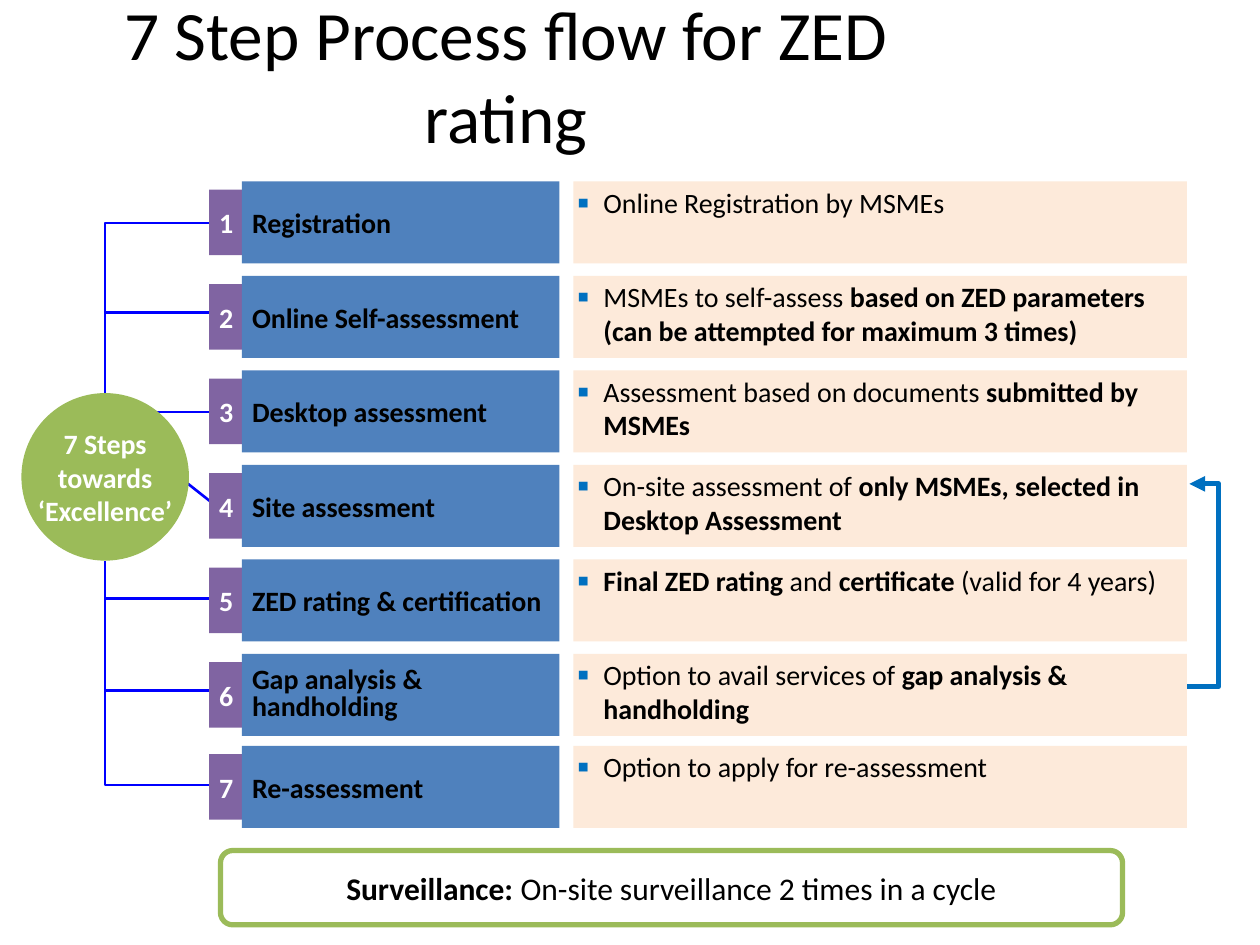
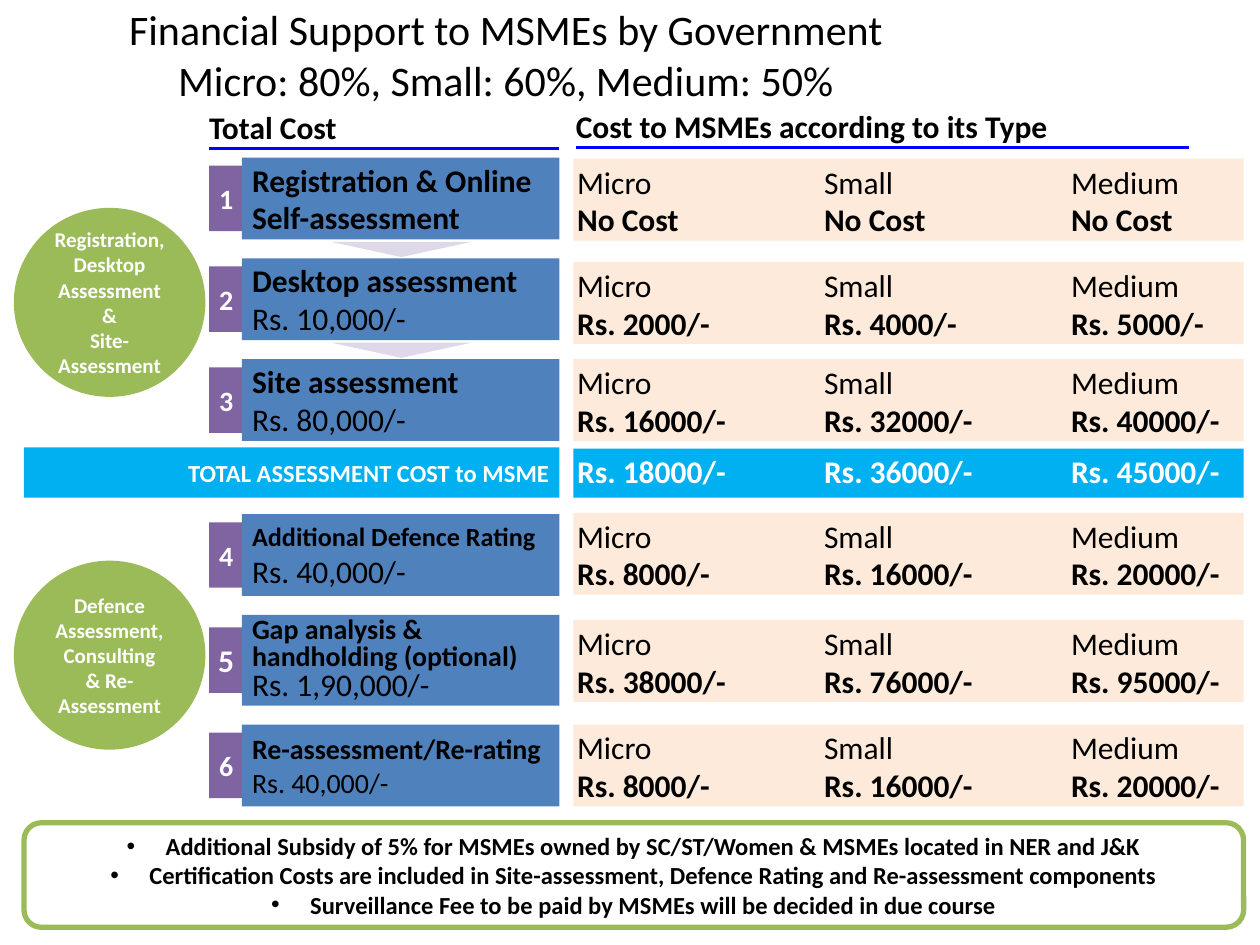
from dataclasses import dataclass
from typing import NamedTuple, Optional, Sequence, Union

from lxml import etree
from pptx import Presentation
from pptx.dml.color import RGBColor
from pptx.enum.shapes import MSO_CONNECTOR, MSO_SHAPE
from pptx.enum.text import MSO_ANCHOR, PP_ALIGN
from pptx.oxml.ns import qn
from pptx.util import Inches, Pt

RECTANGLE, ROUNDED = MSO_SHAPE.RECTANGLE, MSO_SHAPE.ROUNDED_RECTANGLE
ELLIPSE, TRIANGLE = MSO_SHAPE.OVAL, MSO_SHAPE.ISOSCELES_TRIANGLE
STRAIGHT, ELBOW = MSO_CONNECTOR.STRAIGHT, MSO_CONNECTOR.ELBOW
TOP, MIDDLE, BOTTOM = MSO_ANCHOR.TOP, MSO_ANCHOR.MIDDLE, MSO_ANCHOR.BOTTOM
LEFT, CENTER, RIGHT = PP_ALIGN.LEFT, PP_ALIGN.CENTER, PP_ALIGN.RIGHT

FONT = "Calibri"
BLACK, WHITE = "000000", "FFFFFF"
GREEN, PURPLE, BLUE, PEACH = "9BBB59", "8064A2", "4F81BD", "FDEADA"
LILAC, SKY, ARROW_BLUE, LINE_BLUE = "DFD8E8", "00B0F0", "0070C0", "0000FF"

BADGE_LEFT, BADGE_WIDTH, BADGE_HEIGHT = 1.66, 0.27, 0.52
LABEL_LEFT, LABEL_WIDTH = 1.92, 2.52
LABEL_RIGHT = LABEL_LEFT + LABEL_WIDTH
DETAIL_LEFT, DETAIL_WIDTH, COST_WIDTH = 4.55, 4.87, 5.32
ROW_HEIGHT = 0.65
PRICE_TABS = (1.96, 3.92)

DEFAULT_INSET = (0.1, 0.05, 0.1, 0.05)
NO_INSET = (0, 0, 0, 0)
LABEL_INSET = (0.08,) * 4
DETAIL_INSET = (0.03,) * 4
HEADING_INSET = (0, 0, 0, 0.02)


class Box(NamedTuple):
    left: float
    top: float
    width: float
    height: float


class Run(NamedTuple):
    text: str
    bold: bool = False


class Bullet(NamedTuple):
    mark: str
    indent: float
    color: str = BLACK
    percent: int = 100


@dataclass(frozen=True)
class Line:
    text: Union[str, Sequence[Run]]
    size: float = 16
    bold: bool = False
    color: str = BLACK
    align: PP_ALIGN = LEFT
    spacing: Optional[float] = None
    bullet: Optional[Bullet] = None
    tabs: Sequence[float] = ()


@dataclass(frozen=True)
class Step:
    title: str
    detail: Sequence[Run]
    line_y: Optional[float] = None
    spacing: Optional[float] = None


@dataclass(frozen=True)
class CostStep:
    title: str
    total: str
    prices: Sequence[str]
    label_top: float
    cost_top: float
    title_size: float = 18
    total_size: float = 18
    badge_size: float = 16
    height: float = ROW_HEIGHT
    spacing: Optional[float] = None


class Hub(NamedTuple):
    top: float
    words: Sequence[str]


SQUARE = Bullet("▪", 0.21, ARROW_BLUE, 125)
DOT = Bullet("•", 0.31)

STEPS = (
    Step("Registration", (Run("Online Registration by MSMEs"),), 1.77),
    Step("Online Self-assessment", (Run("MSMEs to self-assess "), Run(
        "based on ZED parameters (can be attempted for maximum 3 times)", True)), 2.48),
    Step("Desktop assessment", (
        Run("Assessment based on documents"), Run(" submitted by MSMEs", True)), 3.27),
    Step("Site assessment", (
        Run("On-site assessment of "), Run("only MSMEs, selected in Desktop Assessment", True))),
    Step("ZED rating & certification", (
        Run("Final ZED rating ", True), Run("and "), Run("certificate ", True),
        Run("(valid for 4 years)")), 4.75),
    Step("Gap analysis & handholding", (
        Run("Option to avail services of "), Run("gap analysis & handholding", True)), 5.48, 0.8),
    Step("Re-assessment", (Run("Option to apply for re-assessment"),), 6.23),
)
FIRST_TOP, LAST_TOP, STEP_PITCH = 1.44, 5.92, 0.75

COST_STEPS = (
    CostStep("Registration & Online Self-assessment", "", ("No Cost",) * 3, 1.25, 1.26),
    CostStep("Desktop assessment", "Rs. 10,000/-",
             ("Rs. 2000/-", "Rs. 4000/-", "Rs. 5000/-"), 2.05, 2.08),
    CostStep("Site assessment", "Rs. 80,000/-",
             ("Rs. 16000/-", "Rs. 32000/-", "Rs. 40000/-"), 2.85, 2.85),
    CostStep("Additional Defence Rating", "Rs. 40,000/-",
             ("Rs. 8000/-", "Rs. 16000/-", "Rs. 20000/-"), 4.08, 4.07, title_size=15),
    CostStep("Gap analysis & handholding (optional)", "Rs. 1,90,000/-",
             ("Rs. 38000/-", "Rs. 76000/-", "Rs. 95000/-"), 4.88, 4.92,
             title_size=16, badge_size=18, height=0.72, spacing=0.8),
    CostStep("Re-assessment/Re-rating", "Rs. 40,000/-",
             ("Rs. 8000/-", "Rs. 16000/-", "Rs. 20000/-"), 5.75, 5.75,
             title_size=16, total_size=16),
)
COST_HUBS = (
    Hub(1.65, ("Registration,", "Desktop", "Assessment", "&", "Site-", "Assessment")),
    Hub(4.45, ("Defence", "Assessment,", "Consulting", "& Re-", "Assessment")),
)
SIZES = ("Micro", "Small", "Medium")
NOTES = (
    "Additional Subsidy of 5% for MSMEs owned by SC/ST/Women & MSMEs located in NER and J&K",
    "Certification Costs are included in Site-assessment, Defence Rating and Re-assessment components",
    "Surveillance Fee to be paid by MSMEs will be decided in due course",
)


def rgb(color: str) -> RGBColor:
    return RGBColor.from_string(color)


def add_bullet(paragraph, bullet: Bullet) -> None:
    properties = paragraph._p.get_or_add_pPr()
    indent = Inches(bullet.indent)
    properties.set("marL", str(indent))
    properties.set("indent", str(-indent))
    color = etree.SubElement(properties, qn("a:buClr"))
    etree.SubElement(color, qn("a:srgbClr"), val=bullet.color)
    etree.SubElement(properties, qn("a:buSzPct"), val=str(bullet.percent * 1000))
    etree.SubElement(properties, qn("a:buFont"), typeface="Arial")
    etree.SubElement(properties, qn("a:buChar"), char=bullet.mark)


def add_tabs(paragraph, positions: Sequence[float]) -> None:
    stops = etree.SubElement(paragraph._p.get_or_add_pPr(), qn("a:tabLst"))
    for position in positions:
        etree.SubElement(stops, qn("a:tab"), pos=str(Inches(position)), algn="l")


def write(shape, lines: Sequence[Line], anchor=MIDDLE, inset=DEFAULT_INSET, wrap=True) -> None:
    frame = shape.text_frame
    frame.word_wrap = wrap
    frame.vertical_anchor = anchor
    (frame.margin_left, frame.margin_top,
     frame.margin_right, frame.margin_bottom) = map(Inches, inset)
    for index, line in enumerate(lines):
        paragraph = frame.add_paragraph() if index else frame.paragraphs[0]
        paragraph.alignment = line.align
        if line.spacing:
            paragraph.line_spacing = line.spacing
        if line.bullet:
            add_bullet(paragraph, line.bullet)
        if line.tabs:
            add_tabs(paragraph, line.tabs)
        font = paragraph.font
        font.name, font.size = FONT, Pt(line.size)
        font.color.rgb = rgb(line.color)
        if isinstance(line.text, str):
            paragraph.text = line.text
            font.bold = line.bold
        else:
            for part in line.text:
                run = paragraph.add_run()
                run.text, run.font.bold = part.text, part.bold


def add_block(slide, kind, box: Box, fill: str, border: Optional[str] = None):
    shape = slide.shapes.add_shape(kind, *map(Inches, box))
    shape.shadow.inherit = False
    shape.fill.solid()
    shape.fill.fore_color.rgb = rgb(fill)
    if border:
        shape.line.color.rgb = rgb(border)
        shape.line.width = Pt(3)
    else:
        shape.line.fill.background()
    return shape


def add_line(slide, start: tuple, end: tuple, color: str = LINE_BLUE, width: float = 1.5,
             bend_x: Optional[float] = None, arrow: bool = False) -> None:
    kind = STRAIGHT if bend_x is None else ELBOW
    connector = slide.shapes.add_connector(kind, *map(Inches, start + end))
    connector.line.color.rgb = rgb(color)
    connector.line.width = Pt(width)
    properties = connector._element.spPr
    if bend_x is not None:
        ratio = (bend_x - start[0]) / (end[0] - start[0])
        guides = properties.find(qn("a:prstGeom")).find(qn("a:avLst"))
        etree.SubElement(guides, qn("a:gd"), name="adj1", fmla=f"val {round(ratio * 100000)}")
    if arrow:
        etree.SubElement(properties.find(qn("a:ln")), qn("a:tailEnd"), type="triangle")
    etree.SubElement(properties, qn("a:effectLst"))


def add_text(slide, box: Box, lines: Sequence[Line], anchor=MIDDLE, inset=DEFAULT_INSET) -> None:
    write(slide.shapes.add_textbox(*map(Inches, box)), lines, anchor, inset)


def add_title(slide, top: float, height: float, text: str, size: float) -> None:
    add_text(slide, Box(0.19, top, 7.65, height), [Line(text, size, align=CENTER)])


def add_hub(slide, box: Box, words: Sequence[str], size: float) -> None:
    lines = [Line(word, size, True, WHITE, CENTER) for word in words]
    write(add_block(slide, ELLIPSE, box, GREEN), lines, wrap=False)


def add_step_label(slide, number: int, top: float, height: float,
                   lines: Sequence[Line], badge_size: float = 16) -> None:
    badge_top = top + (height - BADGE_HEIGHT) / 2
    badge = add_block(slide, RECTANGLE, Box(BADGE_LEFT, badge_top, BADGE_WIDTH, BADGE_HEIGHT), PURPLE)
    write(badge, [Line(str(number), badge_size, True, WHITE, CENTER)], inset=NO_INSET)
    label = add_block(slide, RECTANGLE, Box(LABEL_LEFT, top, LABEL_WIDTH, height), BLUE)
    write(label, lines, inset=LABEL_INSET)


def add_detail(slide, box: Box, lines: Sequence[Line], fill: str = PEACH) -> None:
    write(add_block(slide, RECTANGLE, box, fill), lines, TOP, DETAIL_INSET)


def add_footer(slide, box: Box, lines: Sequence[Line]) -> None:
    write(add_block(slide, ROUNDED, box, WHITE, GREEN), lines, inset=LABEL_INSET)


def price_line(cells: Sequence[str], bold: bool = False, color: str = BLACK) -> Line:
    return Line("\t".join(cells), 18, bold, color, tabs=PRICE_TABS)


def build_process(slide) -> None:
    add_title(slide, 0.43, 0.32, "7 Step Process flow for ZED rating", 39.6)
    hub = Box(0.17, 3.12, 1.33, 1.33)
    hub_x, hub_y = hub.left + hub.width / 2, hub.top + hub.height / 2
    for step in STEPS:
        if step.line_y:
            hub_edge = hub.top if step.line_y < hub_y else hub.top + hub.height
            add_line(slide, (BADGE_LEFT, step.line_y), (hub_x, hub_edge), bend_x=hub_x)
    add_line(slide, (1.48, 3.83), (1.67, 3.98))
    add_line(slide, (9.42, 5.45), (9.44, 3.84), ARROW_BLUE, 3, bend_x=9.67, arrow=True)
    for index, step in enumerate(STEPS):
        top = min(FIRST_TOP + index * STEP_PITCH, LAST_TOP)
        add_detail(slide, Box(DETAIL_LEFT, top, DETAIL_WIDTH, ROW_HEIGHT),
                   [Line(step.detail, bullet=SQUARE)])
        add_step_label(slide, index + 1, top, ROW_HEIGHT,
                       [Line(step.title, bold=True, spacing=step.spacing)])
    surveillance = (Run("Surveillance: ", True), Run("On-site surveillance 2 times in a cycle"))
    add_footer(slide, Box(1.75, 6.75, 7.16, 0.59), [Line(surveillance, 18, align=CENTER)])
    add_hub(slide, hub, ["7 Steps\ntowards\n‘Excellence’"], 16)


def build_costs(slide) -> None:
    add_title(slide, 0.11, 0.64,
              "Financial Support to MSMEs by Government\nMicro: 80%, Small: 60%, Medium: 50%", 24)
    for heading, left, right, base in (
            ("Total Cost", BADGE_LEFT, LABEL_RIGHT, 1.18),
            ("Cost to MSMEs according to its Type", 4.57, 9.44, 1.17)):
        add_text(slide, Box(left, base - 0.32, right - left, 0.32),
                 [Line(heading, 18, True)], BOTTOM, HEADING_INSET)
        add_line(slide, (left, base), (right, base))
    for hub in COST_HUBS:
        add_hub(slide, Box(0.11, hub.top, 1.52, 1.5), hub.words, 12)
    for top in (1.92, 2.72):
        add_block(slide, TRIANGLE, Box(2.63, top, 1.11, 0.12), LILAC).rotation = 180
    for number, step in enumerate(COST_STEPS, 1):
        lines = [Line(step.title, step.title_size, True, spacing=step.spacing)]
        if step.total:
            lines.append(Line(step.total, step.total_size, spacing=step.spacing))
        add_step_label(slide, number, step.label_top, step.height, lines, step.badge_size)
        add_detail(slide, Box(DETAIL_LEFT, step.cost_top, COST_WIDTH, ROW_HEIGHT),
                   [price_line(SIZES), price_line(step.prices, True)])
    total = add_block(slide, RECTANGLE, Box(0.19, 3.55, LABEL_RIGHT - 0.19, 0.4), SKY)
    write(total, [Line("TOTAL ASSESSMENT COST to MSME", 14, True, WHITE, RIGHT)], inset=LABEL_INSET)
    add_detail(slide, Box(DETAIL_LEFT, 3.56, COST_WIDTH, 0.39),
               [price_line(("Rs. 18000/-", "Rs. 36000/-", "Rs. 45000/-"), True, WHITE)], SKY)
    add_footer(slide, Box(0.19, 6.53, 9.68, 0.83),
               [Line(note, 14, True, align=CENTER, bullet=DOT) for note in NOTES])


def main() -> None:
    deck = Presentation()
    deck.slide_width, deck.slide_height = Inches(10), Inches(7.5)
    for build in (build_process, build_costs):
        build(deck.slides.add_slide(deck.slide_layouts[6]))
    deck.save("out.pptx")


if __name__ == "__main__":
    main()
